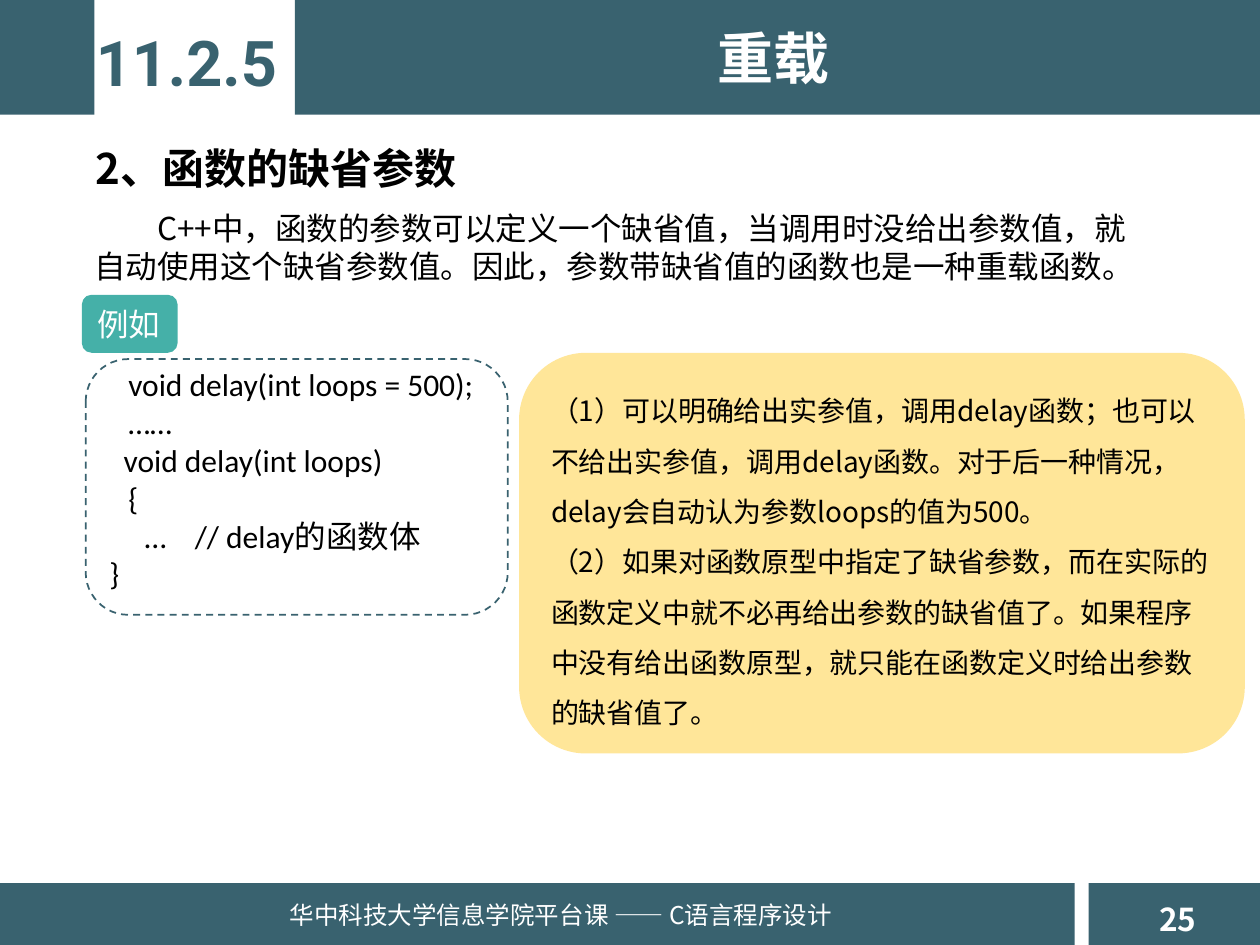
from dataclasses import dataclass
from typing import Optional

from lxml.etree import SubElement
from pptx import Presentation
from pptx.dml.color import RGBColor
from pptx.enum.dml import MSO_LINE
from pptx.enum.shapes import MSO_SHAPE
from pptx.enum.text import MSO_ANCHOR, MSO_AUTO_SIZE, PP_ALIGN
from pptx.oxml.ns import qn
from pptx.util import Inches, Pt

SLATE = RGBColor(0x39, 0x62, 0x6F)
TEAL = RGBColor(0x45, 0xB0, 0xA8)
SAND = RGBColor(0xFF, 0xE6, 0x99)
WHITE = RGBColor(0xFF, 0xFF, 0xFF)
BLACK = RGBColor(0, 0, 0)

HAN, HEAD, CODE = "Noto Sans CJK SC", "Roboto", "Calibri"
COLS, ROWS = 100, 75
WIDE, HIGH = Inches(10), Inches(7.5)


@dataclass
class Box:
    """A place on the slide, in grid columns and rows."""
    left: float
    top: float
    cols: float
    rows: float

    def spot(self) -> tuple:
        dx, dy = WIDE / COLS, HIGH / ROWS
        return (int(self.left * dx), int(self.top * dy),
                int(self.cols * dx), int(self.rows * dy))


@dataclass
class Style:
    size: int
    color: RGBColor = BLACK
    font: str = HAN
    bold: bool = False
    align: PP_ALIGN = PP_ALIGN.LEFT
    space: Optional[float] = None


@dataclass
class Line:
    text: str
    indent: float = 0  # first-line indent, in columns
    align: Optional[PP_ALIGN] = None


@dataclass
class Label:
    box: Box
    style: Style
    lines: list
    wrap: bool = True


BARS = [
    Box(0, 0, 7.5, 9.1),
    Box(23.4, 0, 76.6, 9.1),
    Box(0, 70.1, 85.3, 4.9),
    Box(86.4, 70.1, 13.6, 4.9),
]

TITLE = Label(Box(28.9, 1.4, 65, 6.4),
              Style(32, WHITE, bold=True, align=PP_ALIGN.CENTER), [Line("重载")])

JUST = PP_ALIGN.JUSTIFY
LABELS = [
    Label(Box(91, 70.9, 5.5, 4), Style(18, WHITE, bold=True),
          [Line("25")], wrap=False),
    Label(Box(22, 70.9, 46, 4), Style(14, WHITE),
          [Line("华中科技大学信息学院平台课 —— C语言程序设计")], wrap=False),
    Label(Box(6.6, 1.4, 16.4, 7.1),
          Style(36, SLATE, HEAD, True, PP_ALIGN.CENTER),
          [Line("11.2.5")], wrap=False),
    Label(Box(6.5, 16.1, 85.3, 7.1), Style(18),
          [Line("C++中，函数的参数可以定义一个缺省值，当调用时没给出参数值，就"
                "自动使用这个缺省参数值。因此，参数带缺省值的函数也是一种重载函数。", 5)]),
    Label(Box(6.6, 8.8, 38.6, 6.4), Style(24, bold=True, space=1.5),
          [Line("2、函数的缺省参数")]),
    Label(Box(7.7, 28.5, 50, 19.2), Style(18, font=CODE),
          [Line("void delay(int loops = 500);", 1.5, JUST),
           Line("……", 1.5, JUST),
           Line("  void delay(int loops)", 0, JUST),
           Line("{", 1.5, JUST),
           Line("…    // delay的函数体", 2.8, JUST),
           Line("}")]),
]

TAG = Label(Box(6.5, 23.4, 7.6, 4.6), Style(18, WHITE), [Line("例如")])
NOTE = Label(Box(41.2, 28, 57.6, 31.8), Style(16, space=1.5), [
    Line("（1）可以明确给出实参值，调用delay函数；也可以不给出实参值，"
         "调用delay函数。对于后一种情况，delay会自动认为参数loops的值为500。"),
    Line("（2）如果对函数原型中指定了缺省参数，而在实际的函数定义中就不必再"
         "给出参数的缺省值了。如果程序中没有给出函数原型，就只能在函数定义时"
         "给出参数的缺省值了。"),
])
FRAME = Box(6.8, 28.5, 33.5, 20.3)


def write(frame, label: Label) -> None:
    style = label.style
    frame.word_wrap = label.wrap
    for i, line in enumerate(label.lines):
        para = frame.add_paragraph() if i else frame.paragraphs[0]
        para.alignment = line.align or style.align
        if style.space:
            para.line_spacing = style.space
        if line.indent:
            props = para._p.get_or_add_pPr()
            props.set("marL", "0")
            props.set("indent", str(int(line.indent * WIDE / COLS)))
        run = para.add_run()
        run.text = line.text
        font = run.font
        font.size, font.bold = Pt(style.size), style.bold
        font.color.rgb = style.color
        font.name = style.font
        SubElement(font._element, qn("a:ea")).set("typeface", style.font)


def shape(slide, kind: MSO_SHAPE, box: Box, fill: Optional[RGBColor] = None):
    item = slide.shapes.add_shape(kind, *box.spot())
    item.shadow.inherit = False
    item.line.fill.background()
    if fill is None:
        item.fill.background()
    else:
        item.fill.solid()
        item.fill.fore_color.rgb = fill
    return item


def card(slide, label: Label, fill: RGBColor) -> None:
    """Draw a filled rounded box with its text centred in height."""
    item = shape(slide, MSO_SHAPE.ROUNDED_RECTANGLE, label.box, fill)
    item.text_frame.vertical_anchor = MSO_ANCHOR.MIDDLE
    write(item.text_frame, label)


def head(slide, label: Label) -> None:
    """Place the title placeholder in front of the bars."""
    item = slide.shapes.title
    item.left, item.top, item.width, item.height = label.box.spot()
    item.text_frame.vertical_anchor = MSO_ANCHOR.TOP
    item.text_frame.auto_size = MSO_AUTO_SIZE.SHAPE_TO_FIT_TEXT
    write(item.text_frame, label)
    slide.shapes._spTree.append(item._element)


def main() -> None:
    deck = Presentation()
    deck.slide_width, deck.slide_height = WIDE, HIGH
    slide = deck.slides.add_slide(deck.slide_layouts[5])

    for bar in BARS:
        shape(slide, MSO_SHAPE.RECTANGLE, bar, SLATE)
    head(slide, TITLE)
    for label in LABELS:
        item = slide.shapes.add_textbox(*label.box.spot())
        item.text_frame.auto_size = MSO_AUTO_SIZE.SHAPE_TO_FIT_TEXT
        write(item.text_frame, label)

    card(slide, TAG, TEAL)
    card(slide, NOTE, SAND)
    edge = shape(slide, MSO_SHAPE.ROUNDED_RECTANGLE, FRAME).line
    edge.color.rgb = SLATE
    edge.width = Pt(1)
    edge.dash_style = MSO_LINE.DASH

    deck.save("out.pptx")


if __name__ == "__main__":
    main()
